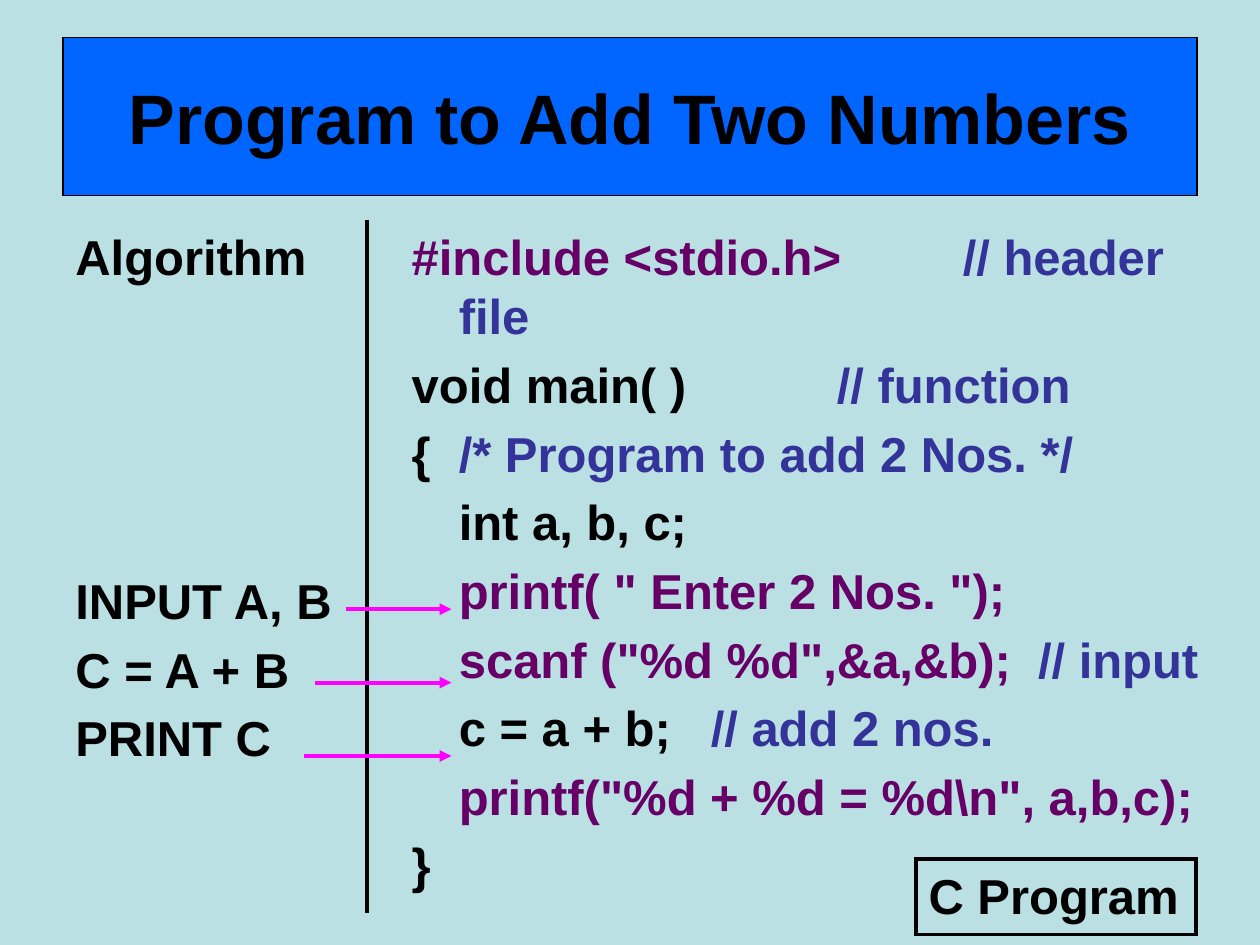
from pptx import Presentation
from pptx.dml.color import RGBColor
from pptx.enum.shapes import MSO_CONNECTOR as Link, MSO_SHAPE as Shape
from pptx.enum.text import MSO_ANCHOR as Anchor, MSO_AUTO_SIZE as Fit, PP_ALIGN as Align
from pptx.oxml.ns import qn
from pptx.util import Cm, Pt
from lxml.etree import SubElement

BLACK, PLUM, NAVY = "000000", "660066", "333399"
BLUE, PINK, PALE = "0066FF", "FF00FF", "BBE0E3"
SIZE, GAP, PITCH = 28, 5.6, 39.3

TITLE = "Program to Add Two Numbers"
LABEL = "C Program"
STEPS = [
    (0, [("Algorithm", BLACK)]),
    (4, [("INPUT A, B", BLACK)]),
    (0, [("C = A + B", BLACK)]),
    (0, [("PRINT C", BLACK)]),
]
CODE = [
    (0, [("#include <stdio.h>\t", PLUM), ("// header file", NAVY)]),
    (0, [("void main( )\t\t", BLACK), ("// function", NAVY)]),
    (0, [("{\t", BLACK), ("/* Program to add 2 Nos. */", NAVY)]),
    (0, [("\tint a, b, c;", BLACK)]),
    (0, [("\t", BLACK), ('printf( " Enter 2 Nos. ");', PLUM)]),
    (0, [("\t", BLACK), ('scanf ("%d %d",&a,&b);  ', PLUM), ("// input", NAVY)]),
    (0, [("\tc = a + b;\t", BLACK), ("// add 2 nos.", NAVY)]),
    (0, [("\t", BLACK), ('printf("%d + %d = %d\\n", a,b,c);', PLUM)]),
    (0, [("}", BLACK)]),
]
STARTS = [6.98, 6.35, 6.13]
TIP, TOP, STEP = 9.1, 12.28, 1.48


def color(code):
    return RGBColor.from_string(code)


def write(para, text, code, size=SIZE):
    run = para.add_run()
    run.text = text
    font = run.font
    font.name, font.size, font.bold = "Arial", Pt(size), True
    font.color.rgb = color(code)


def column(slide, rows, *area):
    frame = slide.shapes.add_textbox(*map(Cm, area)).text_frame
    frame.word_wrap = True
    for i, (skip, runs) in enumerate(rows):
        para = frame.add_paragraph() if i else frame.paragraphs[0]
        para.space_before = Pt(GAP + skip * PITCH)
        props = para._p.get_or_add_pPr()
        props.set("marL", str(Cm(0.95)))
        props.set("indent", str(-Cm(0.95)))
        props.set("defTabSz", str(Cm(2.54)))
        for text, code in runs:
            write(para, text, code)


def box(slide, area, text, size, width, fill=None):
    shape = slide.shapes.add_shape(Shape.RECTANGLE, *map(Cm, area))
    shape.shadow.inherit = False
    if fill:
        shape.fill.solid()
        shape.fill.fore_color.rgb = color(fill)
    else:
        shape.fill.background()
    shape.line.color.rgb = color(BLACK)
    shape.line.width = Pt(width)
    SubElement(shape.line._get_or_add_ln(), qn("a:miter"), lim="800000")
    frame = shape.text_frame
    write(frame.paragraphs[0], text, BLACK, size)
    return frame


def line(slide, ends, code, arrow=False):
    link = slide.shapes.add_connector(Link.STRAIGHT, *map(Cm, ends))
    link.line.color.rgb = color(code)
    link.line.width = Pt(2.25)
    if arrow:
        SubElement(link.line._get_or_add_ln(), qn("a:tailEnd"), type="triangle")
    SubElement(link._element.spPr, qn("a:effectLst"))


def main():
    deck = Presentation()
    deck.slide_width, deck.slide_height = Cm(25.4), Cm(19.05)
    slide = deck.slides.add_slide(deck.slide_layouts[6])
    back = slide.background.fill
    back.solid()
    back.fore_color.rgb = color(PALE)

    head = box(slide, (1.27, 0.76, 22.86, 3.18), TITLE, 40, 0.75, BLUE)
    head.word_wrap = True
    head.vertical_anchor = Anchor.MIDDLE
    head.paragraphs[0].alignment = Align.CENTER

    column(slide, STEPS, 1.27, 4.45, 6.78, 13.97)
    column(slide, CODE, 8.05, 4.45, 17.35, 14.6)
    line(slide, (7.4, 4.44, 7.4, 18.41), BLACK)

    tag = box(slide, (18.47, 17.32, 5.64, 1.52), LABEL, SIZE, 2.25)
    tag.word_wrap = False
    tag.auto_size = Fit.SHAPE_TO_FIT_TEXT
    tag.vertical_anchor = Anchor.TOP
    tag.paragraphs[0].alignment = Align.LEFT

    for i, start in enumerate(STARTS):
        y = TOP + i * STEP
        line(slide, (start, y, TIP, y), PINK, True)

    deck.save("out.pptx")


if __name__ == "__main__":
    main()
